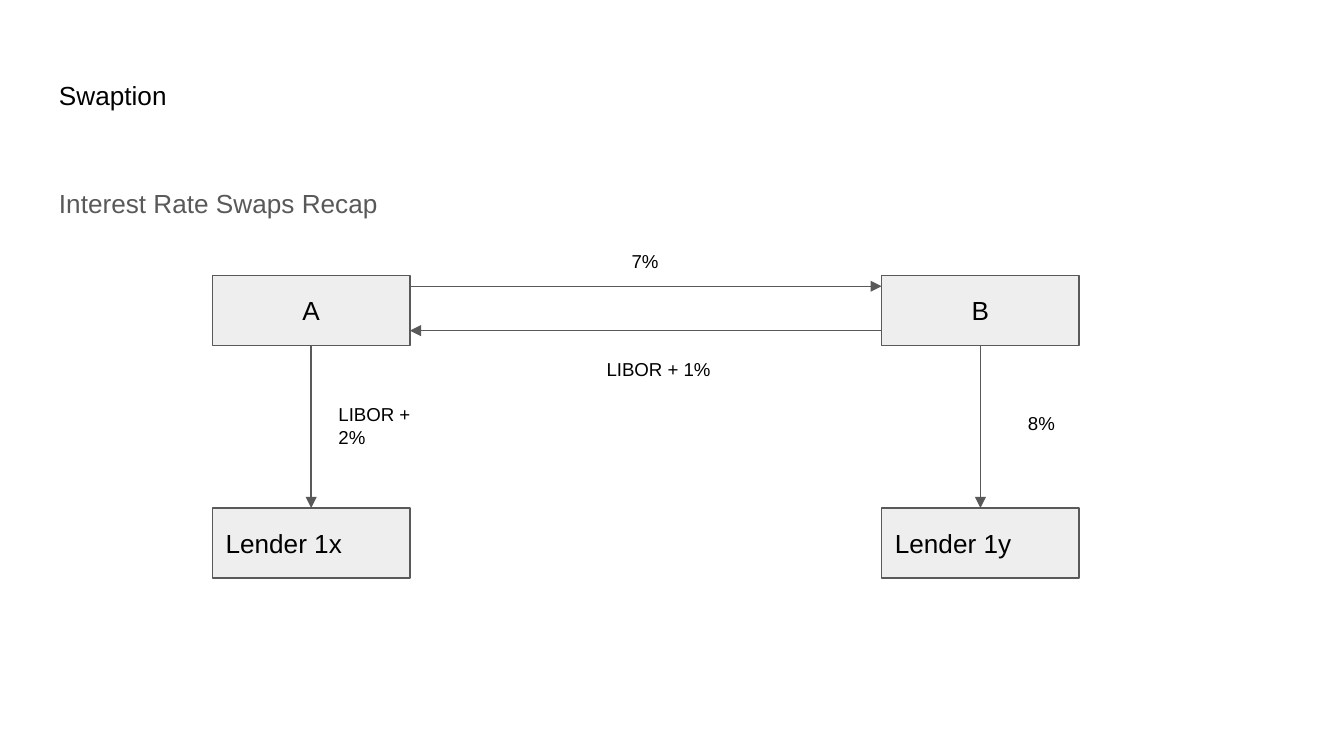
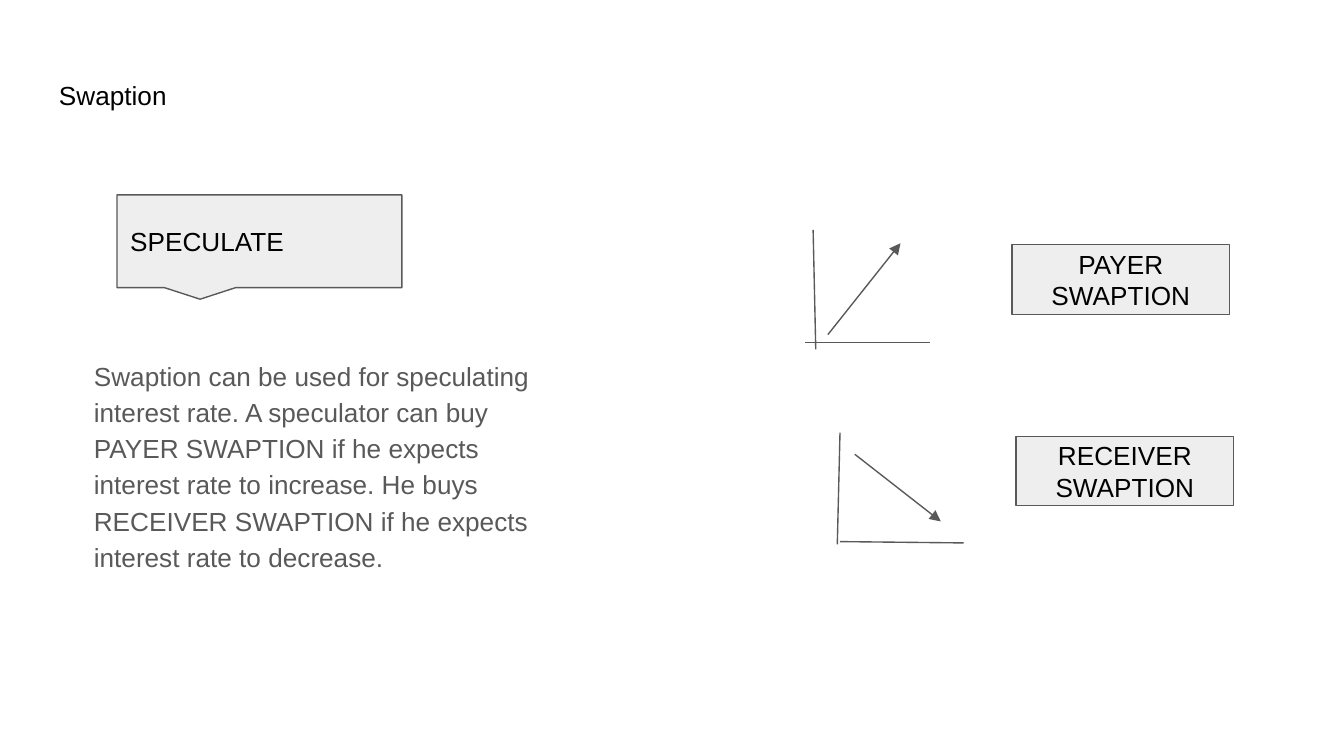
from lxml import etree
from pptx import Presentation
from pptx import util as u
from pptx.dml.color import RGBColor
from pptx.enum import shapes, text
from pptx.oxml import ns

WIDTH, HEIGHT = 10, 5.625
MARGIN = 0.34
COLORS = {"paper": "FFFFFF", "ink": "000000", "body": "595959", "line": "595959", "box": "EEEEEE"}
FONT = "Arial"
LEFT, CENTER = text.PP_ALIGN.LEFT, text.PP_ALIGN.CENTER
RECT = shapes.MSO_SHAPE.RECTANGLE


def rgb(name):
    """Return the palette colour of that name."""
    return RGBColor.from_string(COLORS[name])


def inches(*lengths):
    """Convert several lengths to EMU."""
    return [u.Inches(length) for length in lengths]


def write(shape, words, size, color="ink", align=LEFT, anchor=text.MSO_ANCHOR.TOP):
    """Fill a shape with one formatted paragraph and return it."""
    frame = shape.text_frame
    frame.text = words
    frame.word_wrap = True
    frame.vertical_anchor = anchor
    frame.margin_left = frame.margin_right = u.Inches(0.1)
    frame.margin_top = frame.margin_bottom = u.Inches(0.1)
    paragraph = frame.paragraphs[0]
    paragraph.alignment = align
    font = paragraph.runs[0].font
    font.name, font.size, font.color.rgb = FONT, u.Pt(size), rgb(color)
    return paragraph


def add_label(slide, words, place, size=10, color="ink", align=LEFT):
    """Add a plain text box."""
    return write(slide.shapes.add_textbox(*inches(*place)), words, size, color, align)


def add_body(slide, words, place):
    """Add grey running text with open line spacing."""
    paragraph = add_label(slide, words, place, 14, "body")
    paragraph.line_spacing = 1.15
    paragraph.space_after = u.Pt(16)


def add_box(slide, words, place, align=CENTER, kind=RECT):
    """Add an outlined grey box with text."""
    box = slide.shapes.add_shape(kind, *inches(*place))
    box.shadow.inherit = False
    box.fill.solid()
    box.fill.fore_color.rgb = rgb("box")
    box.line.color.rgb = rgb("line")
    box.line.width = u.Pt(0.75)
    write(box, words, 14, align=align, anchor=text.MSO_ANCHOR.MIDDLE)
    return box


def add_line(slide, start, end, arrow=False):
    """Draw a thin line, with an arrowhead at its end if asked."""
    line = slide.shapes.add_connector(shapes.MSO_CONNECTOR.STRAIGHT, *inches(*start, *end))
    line.line.color.rgb = rgb("line")
    line.line.width = u.Pt(0.75)
    if arrow:
        etree.SubElement(line.line._get_or_add_ln(), ns.qn("a:tailEnd"), type="triangle", w="med", len="med")
    etree.SubElement(line._element.spPr, ns.qn("a:effectLst"))


def add_slide(deck):
    """Add a white slide with the shared title."""
    slide = deck.slides.add_slide(deck.slide_layouts[6])
    slide.background.fill.solid()
    slide.background.fill.fore_color.rgb = rgb("paper")
    add_label(slide, "Swaption", (MARGIN, 0.49, WIDTH - 2 * MARGIN, 0.63), 14)
    return slide


def build_swap(deck):
    """Build the recap of the interest rate swap."""
    slide = add_slide(deck)
    add_body(slide, "Interest Rate Swaps Recap", (MARGIN, 1.26, WIDTH - 2 * MARGIN, 3.74))
    columns, rows, width, height = (1.58, 6.56), (2.05, 3.78), 1.47, 0.52
    for left, party, lender in zip(columns, "AB", ("Lender 1x", "Lender 1y")):
        add_box(slide, party, (left, rows[0], width, height))
        add_box(slide, lender, (left, rows[1], width, height), LEFT)
        middle = left + width / 2
        add_line(slide, (middle, rows[0] + height), (middle, rows[1]), True)
    inner_left, inner_right = columns[0] + width, columns[1]
    add_line(slide, (inner_left, 2.13), (inner_right, 2.13), True)
    add_line(slide, (inner_right, 2.46), (inner_left, 2.46), True)
    add_label(slide, "LIBOR + 2%", (2.42, 2.9, 0.82, 0.4))
    add_label(slide, "8%", (7.55, 2.98, 0.48, 0.25))
    add_label(slide, "7%", (4.3, 1.8, 1, 0.14), align=CENTER)
    add_label(slide, "LIBOR + 1%", (4.4, 2.58, 1, 0.4), align=CENTER)


def add_trend(slide, vertical, horizontal, trend):
    """Draw two axes and the arrow of a rate between them."""
    add_line(slide, *vertical)
    add_line(slide, *horizontal)
    add_line(slide, *trend, arrow=True)


def build_speculation(deck):
    """Build the slide on speculating with swaptions."""
    slide = add_slide(deck)
    callout = add_box(slide, "SPECULATE", (0.87, 1.45, 2.12, 0.69), LEFT,
                      shapes.MSO_SHAPE.RECTANGULAR_CALLOUT)
    callout.adjustments[0], callout.adjustments[1] = -0.208, 0.625
    add_body(slide, "Swaption can be used for speculating interest rate. A speculator can buy "
             "PAYER SWAPTION if he expects interest rate to increase. He buys RECEIVER SWAPTION "
             "if he expects interest rate to decrease.", (0.6, 2.55, 3.69, 1.96))
    add_trend(slide, ((6.05, 1.71), (6.07, 2.6)), ((5.99, 2.55), (6.92, 2.55)), ((6.16, 2.49), (6.7, 1.81)))
    add_box(slide, "PAYER SWAPTION", (7.53, 1.82, 1.62, 0.52))
    add_trend(slide, ((6.25, 3.22), (6.23, 4.05)), ((6.25, 4.03), (7.17, 4.04)), ((6.36, 3.38), (7, 3.88)))
    add_box(slide, "RECEIVER SWAPTION", (7.56, 3.25, 1.62, 0.51))


def main():
    """Build and save the presentation."""
    deck = Presentation()
    deck.slide_width, deck.slide_height = inches(WIDTH, HEIGHT)
    build_swap(deck)
    build_speculation(deck)
    deck.save("out.pptx")


main()
